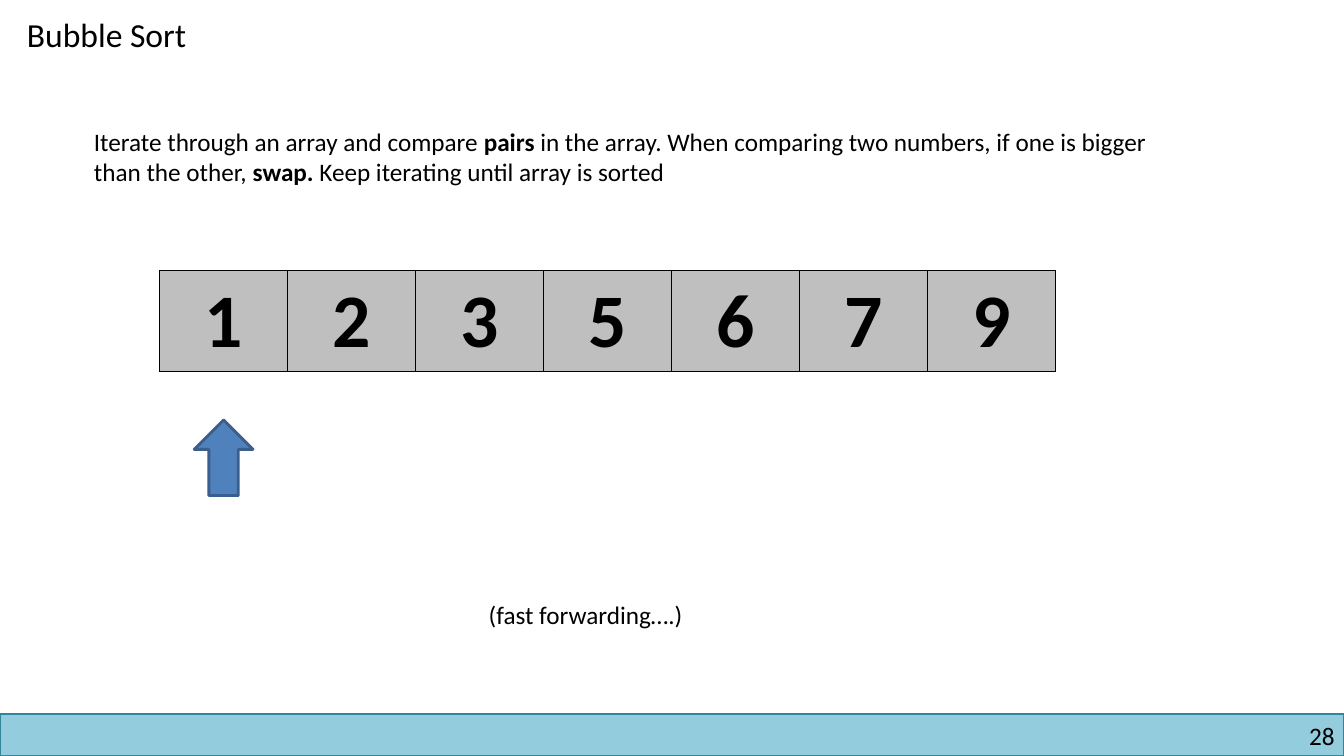
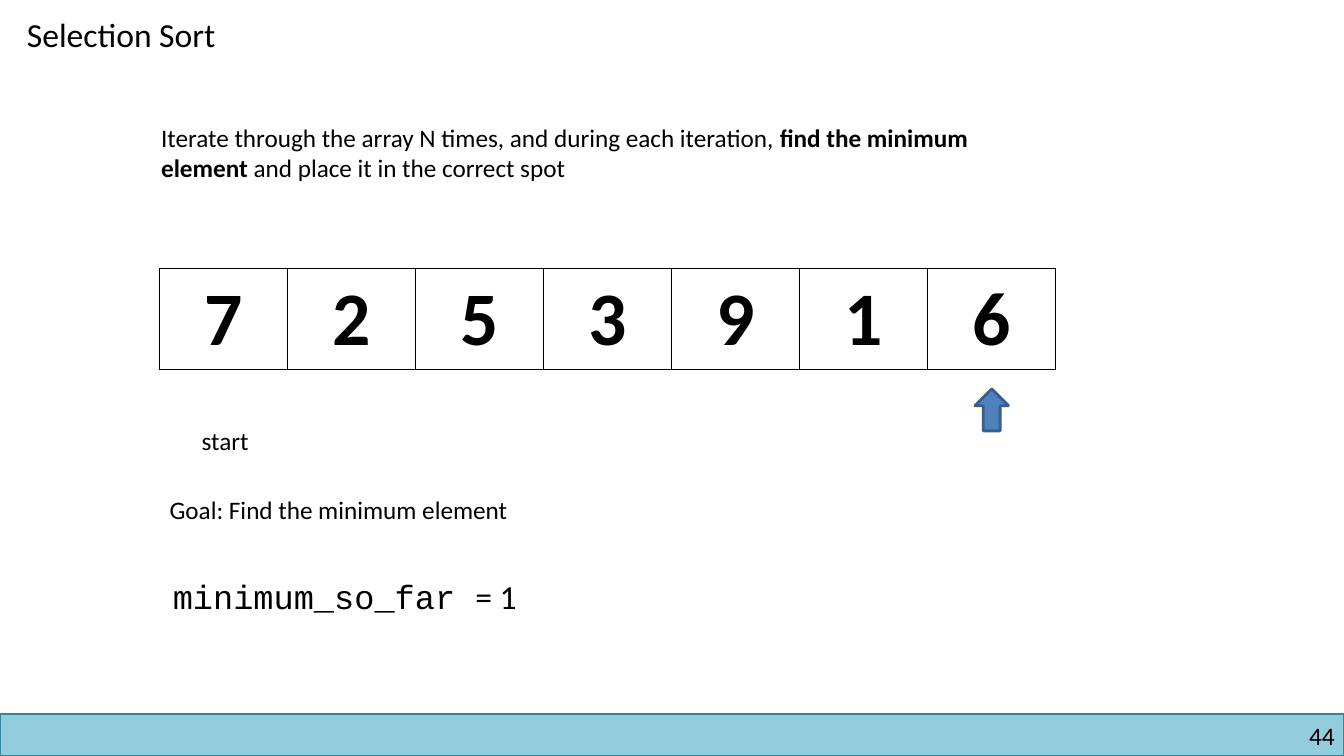
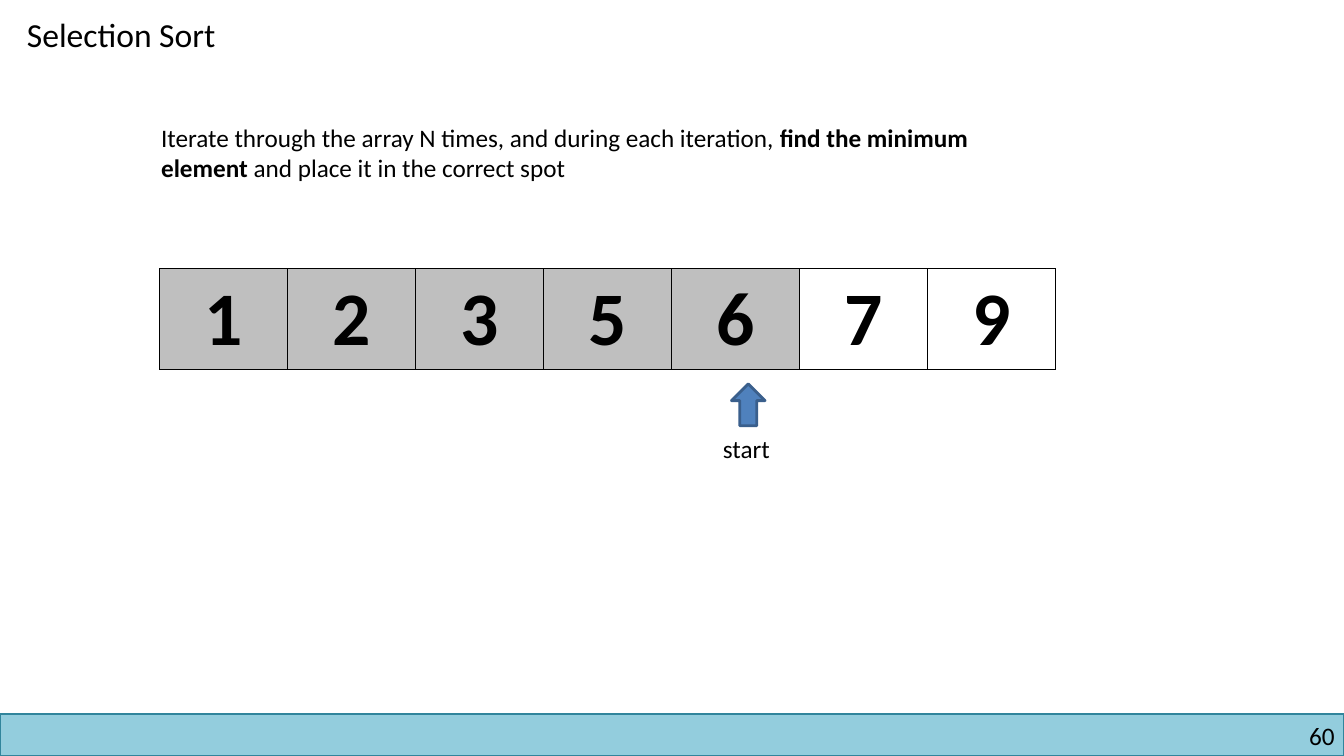
from lxml import etree
from pptx import Presentation, util as u
from pptx.dml.color import RGBColor
from pptx.enum import shapes, text
from pptx.oxml import ns

# Grid of 160 columns by 90 rows, so one unit is a twelfth of an inch
COLS, ROWS = 160, 90
UNIT = u.Inches(1) / 12
COLORS = {"ink": "000000", "paper": "FFFFFF", "sorted": "BFBFBF",
          "band": "93CDDD", "band_line": "31859C",
          "arrow": "4F81BD", "arrow_line": "3A5F8C"}
FONT, CODE_FONT = "Calibri", "Courier New"
BODY, HEAD, DIGIT = 18, 24, 54
CELL_W, CELL_H = 15.24, 12
TITLE_ONLY = 5

SELECTION_RULE = [
    ("Iterate through the array N times, and during each iteration, ", False),
    ("find the minimum element", True),
    (" and place it in the correct spot", False)]


def grid(*units):
    return [u.Emu(round(n * UNIT)) for n in units]


def color(name):
    return RGBColor.from_string(COLORS[name])


def style(font, size, bold=False, name=FONT):
    font.size, font.bold, font.name = u.Pt(size), bold, name
    font.color.rgb = color("ink")


def add_block(s, kind, box, fill, line, width):
    sp = s.shapes.add_shape(kind, *grid(*box))
    sp.shadow.inherit = False
    sp.fill.solid()
    sp.fill.fore_color.rgb = color(fill)
    sp.line.color.rgb = color(line)
    sp.line.width = u.Pt(width)


def add_text(s, box, runs, size=BODY, wrap=False, align=text.PP_ALIGN.LEFT):
    """Runs are (words, bold) or (words, bold, font name)."""
    tf = s.shapes.add_textbox(*grid(*box)).text_frame
    tf.word_wrap = wrap
    p = tf.paragraphs[0]
    p.alignment = align
    style(p.font, size)
    for words, bold, *name in runs:
        r = p.add_run()
        r.text = words
        style(r.font, size, bold, *name)
    return tf


# Shared parts: title, band and page number
def add_frame(prs, title, number):
    s = prs.slides.add_slide(prs.slide_layouts[TITLE_ONLY])
    sp = s.shapes.title
    sp.left, sp.top, sp.width, sp.height = grid(2, 1, 60, 6)
    tf = sp.text_frame
    tf.text = title
    tf.vertical_anchor = text.MSO_ANCHOR.TOP
    tf.auto_size = text.MSO_AUTO_SIZE.NONE
    p = tf.paragraphs[0]
    p.alignment = text.PP_ALIGN.LEFT
    style(p.font, HEAD)

    add_block(s, shapes.MSO_SHAPE.RECTANGLE, (0, 85, COLS, 5),
              "band", "band_line", 1)
    tf = add_text(s, (122, 85.8, 36.9, 3.6), [(str(number), False)],
                  wrap=True, align=text.PP_ALIGN.RIGHT)
    tf.margin_left = tf.margin_top = tf.margin_right = tf.margin_bottom = 0
    return s


def add_borders(cell):
    tc_pr = cell._tc.get_or_add_tcPr()
    for i, side in enumerate(("lnL", "lnR", "lnT", "lnB")):
        ln = etree.Element(ns.qn("a:" + side), w=str(u.Pt(1)))
        fill = etree.SubElement(ln, ns.qn("a:solidFill"))
        etree.SubElement(fill, ns.qn("a:srgbClr"), val=COLORS["ink"])
        tc_pr.insert(i, ln)


# Array of digits; the first sorted_count cells are shaded
def add_array(s, left, top, digits, sorted_count):
    n = len(digits)
    table = s.shapes.add_table(
        1, n, *grid(left, top, n * CELL_W, CELL_H)).table
    table.first_row = table.horz_banding = False
    for i, digit in enumerate(digits):
        table.columns[i].width = grid(CELL_W)[0]
        cell = table.cell(0, i)
        cell.text = digit
        cell.fill.solid()
        cell.fill.fore_color.rgb = color(
            "sorted" if i < sorted_count else "paper")
        add_borders(cell)
        p = cell.text_frame.paragraphs[0]
        p.alignment = text.PP_ALIGN.CENTER
        style(p.font, DIGIT, True)


def cell_center(left, index):
    return left + (index + 0.5) * CELL_W


def add_arrow(s, center, top, width, height):
    add_block(s, shapes.MSO_SHAPE.UP_ARROW,
              (center - width / 2, top, width, height),
              "arrow", "arrow_line", 2)


def add_start(s, center, top):
    add_text(s, (center - 4.1, top, 8.3, 4.8), [("start", False)])


# Slide types
def bubble_slide(prs, number, digits):
    s = add_frame(prs, "Bubble Sort", number)
    add_text(s, (10, 14.4, 133, 8.5), [
        ("Iterate through an array and compare ", False),
        ("pairs", True),
        (" in the array. When comparing two numbers, if one is bigger "
         "than the other, ", False),
        ("swap. ", True),
        ("Keep iterating until array is sorted", False)], wrap=True)
    add_array(s, 19, 32.2, digits, len(digits))
    add_arrow(s, cell_center(19, 0), 50, 7, 9)
    add_text(s, (57, 70.7, 28.2, 4.8), [("(fast forwarding….)", False)])


def selection_slide(prs, number, digits, sorted_count, arrow, start):
    """Arrow and start are (cell index, shift from its centre, top)."""
    s = add_frame(prs, "Selection Sort", number)
    add_text(s, (18, 14, 106, 8.5), SELECTION_RULE, wrap=True)
    add_array(s, 19, 32, digits, sorted_count)
    index, shift, top = arrow
    add_arrow(s, cell_center(19, index) + shift, top, 4, 5)
    index, shift, top = start
    add_start(s, cell_center(19, index) + shift, top)
    return s


def add_goal(s, left, top):
    add_text(s, (left, top, 47.9, 4.8),
             [("Goal: Find the minimum element", False)])
    add_text(s, (left + 0.4, top + 9.7, 44.4, 6),
             [("minimum_so_far ", False, CODE_FONT), ("= 1", False)], HEAD)


def main():
    prs = Presentation()
    prs.slide_width, prs.slide_height = grid(COLS, ROWS)
    bubble_slide(prs, 28, "1235679")
    s = selection_slide(prs, 44, "7253916", 0, (6, 0, 46.3), (0, 0.3, 50))
    add_goal(s, 19, 58.3)
    selection_slide(prs, 60, "1235679", 5, (4, 1.5, 45.7), (4, 1.4, 51))
    prs.save("out.pptx")


if __name__ == "__main__":
    main()
